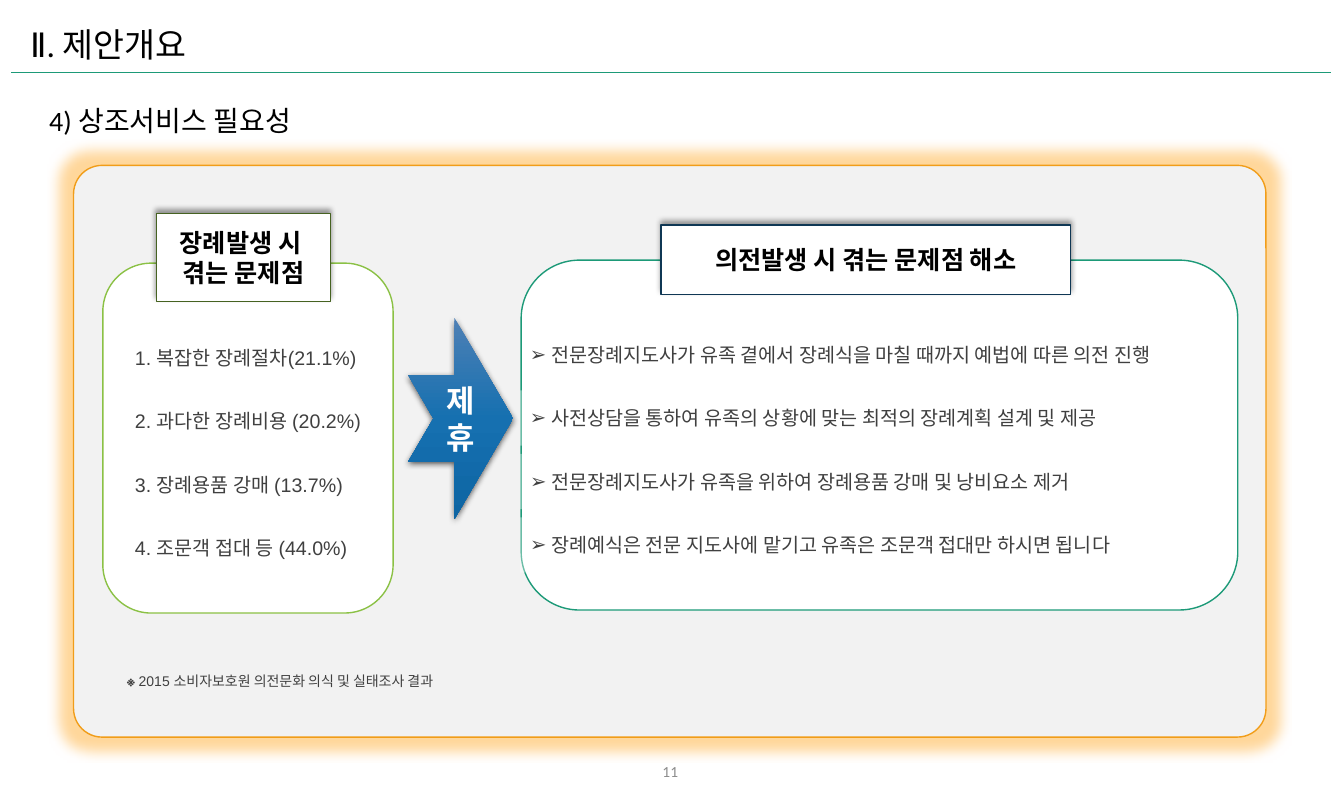
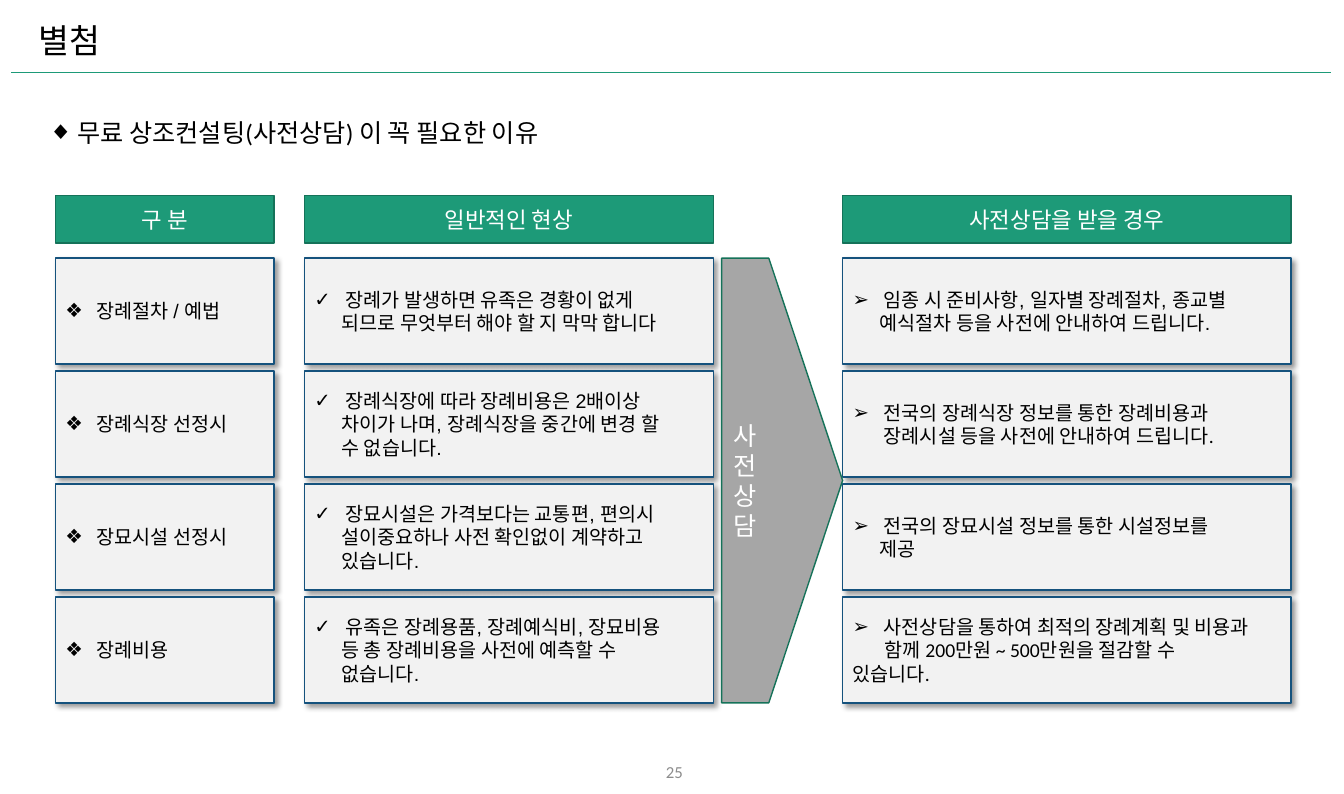
import copy

import pptx
import pptx.dml.color
import pptx.enum.shapes
import pptx.enum.text
import pptx.oxml
import pptx.oxml.ns
import pptx.util
from lxml import etree

Inches = pptx.util.Inches
Pt = pptx.util.Pt
RGBColor = pptx.dml.color.RGBColor
qn = pptx.oxml.ns.qn
SHAPE = pptx.enum.shapes.MSO_SHAPE
ALIGN = pptx.enum.text.PP_ALIGN
ANCHOR = pptx.enum.text.MSO_ANCHOR

BLACK = RGBColor(0x00, 0x00, 0x00)
WHITE = RGBColor(0xFF, 0xFF, 0xFF)
DARK_GREY = RGBColor(0x40, 0x40, 0x40)
PAGE_GREY = RGBColor(0x8C, 0x8C, 0x8C)
ARROW_GREY = RGBColor(0xA6, 0xA6, 0xA6)
PANEL_GREY = RGBColor(0xF2, 0xF2, 0xF2)
TEAL = RGBColor(0x1D, 0x9A, 0x78)
DARK_TEAL = RGBColor(0x15, 0x72, 0x59)
ORANGE = RGBColor(0xF1, 0x9D, 0x19)
GLOW_ORANGE = RGBColor(0xFF, 0x9B, 0x05)
GREEN = RGBColor(0x8B, 0xC1, 0x45)
DARK_GREEN = RGBColor(0x46, 0x62, 0x21)
NAVY = RGBColor(0x0F, 0x37, 0x54)
BLUE = RGBColor(0x15, 0x52, 0x7D)
ARROW_BLUES = [RGBColor(0x4E, 0x80, 0xB5), RGBColor(0x16, 0x70, 0xB0),
               RGBColor(0x0D, 0x65, 0xA3)]

HEADING_FONT = "Calibri"
BODY_FONT = "Arial"


def style(paragraph, size, color, font=BODY_FONT, bold=False, align=ALIGN.LEFT):
    paragraph.alignment = align
    paragraph.font.size = Pt(size)
    paragraph.font.color.rgb = color
    paragraph.font.name = font
    paragraph.font.bold = bold


def indent(paragraph, margin, first_line, bullet=None):
    properties = paragraph._p.get_or_add_pPr()
    properties.set("marL", str(Inches(margin)))
    properties.set("indent", str(Inches(first_line)))
    if bullet:
        etree.SubElement(properties, qn("a:buFont"), typeface=BODY_FONT)
        etree.SubElement(properties, qn("a:buChar"), char=bullet)


def write(shape, lines, size, color, bullet=None, hang=0.31, continuation=0.27,
          anchor=ANCHOR.MIDDLE, **looks):
    """Fill a shape with paragraphs; a bullet goes on the first only."""
    frame = shape.text_frame
    frame.word_wrap = True
    frame.vertical_anchor = anchor
    for number, line in enumerate(lines):
        paragraph = frame.add_paragraph() if number else frame.paragraphs[0]
        paragraph.text = line
        if bullet and number == 0:
            indent(paragraph, hang, -hang, bullet)
        elif bullet:
            indent(paragraph, 0, continuation)
        style(paragraph, size, color, **looks)


def add_label(slide, box, text, size, color, **looks):
    label = slide.shapes.add_textbox(*map(Inches, box))
    write(label, [text], size, color, **looks)
    return label


def add_block(slide, kind, box, fill, line=None):
    block = slide.shapes.add_shape(kind, *map(Inches, box))
    block.shadow.inherit = False
    if fill is not None:
        block.fill.solid()
        block.fill.fore_color.rgb = fill
    if line is None:
        block.line.fill.background()
    else:
        block.line.color.rgb = line
        block.line.width = Pt(1)
    return block


def add_effect(shape, tag, color, alpha, **attributes):
    effects = shape._element.spPr.find(qn("a:effectLst"))
    effect = etree.SubElement(effects, qn(tag),
                              {key: str(value) for key, value in attributes.items()})
    tint = etree.SubElement(effect, qn("a:srgbClr"), val=str(color))
    etree.SubElement(tint, qn("a:alpha"), val=str(alpha * 1000))


def add_shadow(shape, angle, alpha=40, blur=4, distance=3):
    add_effect(shape, "a:outerShdw", BLACK, alpha, blurRad=Pt(blur), dist=Pt(distance),
               dir=angle * 60000, algn="ctr", rotWithShape=0)


def new_page(deck, title, title_at, page_number, number_at, number_size):
    """Add a slide with the shared title style, header rule and page number."""
    slide = deck.slides.add_slide(deck.slide_layouts[5])
    heading = slide.shapes.title
    heading.left, heading.top = map(Inches, title_at)
    heading.width, heading.height = Inches(3.29), Inches(0.5)
    heading.text_frame.auto_size = pptx.enum.text.MSO_AUTO_SIZE.NONE
    write(heading, [title], 24, BLACK, font=HEADING_FONT, anchor=ANCHOR.TOP)

    rule = slide.shapes.add_connector(pptx.enum.shapes.MSO_CONNECTOR.STRAIGHT,
                                      Inches(0.11), Inches(0.72), Inches(13.2), Inches(0.72))
    rule.line.color.rgb = TEAL
    rule.line.width = Pt(0.5)
    etree.SubElement(rule._element.spPr, qn("a:effectLst"))

    add_label(slide, (number_at, 7.45, 3.14, 0.4), page_number, number_size, PAGE_GREY,
              font=HEADING_FONT, align=ALIGN.CENTER)
    return slide


def add_titled_card(slide, box, outline, caption_box, caption_lines, caption_outline):
    """Rounded card with a caption plate given relative to the card."""
    left, top = box[:2]
    add_block(slide, SHAPE.ROUNDED_RECTANGLE, box, WHITE, outline)
    dx, dy, width, height = caption_box
    caption = add_block(slide, SHAPE.RECTANGLE, (left + dx, top + dy, width, height),
                        WHITE, caption_outline)
    add_shadow(caption, 270)
    write(caption, caption_lines, 18, BLACK, bold=True, align=ALIGN.CENTER)


def add_plate(slide, box, text, size, color, **looks):
    """Label on a see-through white rectangle."""
    plate = add_block(slide, SHAPE.RECTANGLE, box, WHITE)
    tint = plate._element.spPr.find(qn("a:solidFill")).find(qn("a:srgbClr"))
    etree.SubElement(tint, qn("a:alpha"), val="35000")
    write(plate, [text], size, color, **looks)


def add_rows(slide, left, top, rows, place_row=add_label, **looks):
    """Stack (text, width) rows at an equal pitch."""
    for number, (text, width) in enumerate(rows):
        place_row(slide, (left, top + number * 0.63, width, 0.55), text, 14, DARK_GREY,
                  **looks)


def add_alliance_arrow(slide, box):
    arrow = add_block(slide, SHAPE.NOTCHED_RIGHT_ARROW, box, None)
    arrow.adjustments[0], arrow.adjustments[1] = 0.43, 0.56
    arrow.fill.gradient()
    arrow.fill.gradient_angle = 270
    first_stop = arrow._element.spPr.find(".//" + qn("a:gs"))
    first_stop.addnext(copy.deepcopy(first_stop))
    for number, (stop, color) in enumerate(zip(arrow.fill.gradient_stops, ARROW_BLUES)):
        stop.position = number / 2
        stop.color.rgb = color
    add_shadow(arrow, 90, alpha=63, blur=4.5, distance=1.5)
    write(arrow, ["제휴"], 22, WHITE, bold=True, align=ALIGN.CENTER)


def build_need_slide(deck):
    slide = new_page(deck, "Ⅱ. 제안개요", (0.2, 0.19), "11", 5.08, 11)
    add_label(slide, (0.39, 0.98, 3.29, 0.44), "4) 상조서비스 필요성", 20, BLACK,
              font=HEADING_FONT, anchor=ANCHOR.TOP)

    panel = add_block(slide, SHAPE.ROUNDED_RECTANGLE, (0.73, 1.64, 11.83, 5.67),
                      PANEL_GREY, ORANGE)
    panel.adjustments[0] = 0.05
    add_effect(panel, "a:glow", GLOW_ORANGE, 40, rad=Pt(18))

    add_titled_card(slide, (1.02, 2.61, 2.88, 3.47), GREEN, (0.53, -0.49, 1.73, 0.87),
                    ["장례발생 시 ", "겪는 문제점"], DARK_GREEN)
    add_rows(slide, 1.24, 3.27, [
        ("1. 복잡한 장례절차(21.1%)", 2.69),
        ("2. 과다한 장례비용 (20.2%)", 2.71),
        ("3. 장례용품 강매 (13.7%)", 2.38),
        ("4. 조문객 접대 등 (44.0%)", 2.38),
    ])

    add_alliance_arrow(slide, (4.05, 3.15, 1.04, 2))

    add_titled_card(slide, (5.17, 2.58, 7.11, 3.47), TEAL, (1.39, -0.35, 4.06, 0.69),
                    ["의전발생 시 겪는 문제점 해소"], NAVY)
    bulleted = {"bullet": "➢", "hang": 0.21}
    add_rows(slide, 5.16, 3.24, [
        ("전문장례지도사가 유족 곁에서 장례식을 마칠 때까지 예법에 따른 의전 진행", 7.14),
    ], **bulleted)
    add_rows(slide, 5.16, 3.87, [
        ("사전상담을 통하여 유족의 상황에 맞는 최적의 장례계획 설계 및 제공", 6.87),
        ("전문장례지도사가 유족을 위하여 장례용품 강매 및 낭비요소 제거", 6.55),
        ("장례예식은 전문 지도사에 맡기고 유족은 조문객 접대만 하시면 됩니다", 6.92),
    ], place_row=add_plate, **bulleted)

    survey = add_label(slide, (1.16, 6.6, 5.27, 0.31), "※ ", 10, DARK_GREY)
    survey_line = survey.text_frame.paragraphs[0]
    survey_line.runs[0].font.bold = True
    survey_line.add_run().text = "2015 소비자보호원 의전문화 의식 및 실태조사 결과"


COLUMNS = [  # left, width, heading, bullet
    (0.55, 2.17, "구 분", "❖"),
    (3.02, 4.06, "일반적인 현상", "✓"),
    (8.36, 4.45, "사전상담을 받을 경우", "➢"),
]
COMPARISON = [
    (["장례절차 / 예법"],
     ["장례가 발생하면 유족은 경황이 없게", "되므로 무엇부터 해야 할 지 막막 합니다"],
     ["임종 시 준비사항, 일자별 장례절차, 종교별", "예식절차 등을 사전에 안내하여 드립니다."]),
    (["장례식장 선정시"],
     ["장례식장에 따라 장례비용은 2배이상", "차이가 나며, 장례식장을 중간에 변경 할", "수 없습니다."],
     ["전국의 장례식장 정보를 통한 장례비용과 장례시설 등을 사전에 안내하여 드립니다."]),
    (["장묘시설 선정시"],
     ["장묘시설은 가격보다는 교통편, 편의시", "설이중요하나 사전 확인없이 계약하고", "있습니다."],
     ["전국의 장묘시설 정보를 통한 시설정보를", "제공"]),
    (["장례비용"],
     ["유족은 장례용품, 장례예식비, 장묘비용", "등 총 장례비용을 사전에 예측할 수", "없습니다."],
     ["사전상담을 통하여 최적의 장례계획 및 비용과",
      "함께 200만원 ~ 500만원을 절감할 수\v있습니다."]),
]


def add_comparison(slide, top):
    """Column headings over a grid of shadowed cells."""
    first_row, row_height, pitch = top + 0.62, 1.05, 1.12
    for column, (left, width, heading, bullet) in enumerate(COLUMNS):
        header = add_block(slide, SHAPE.RECTANGLE, (left, top, width, 0.47), TEAL, DARK_TEAL)
        write(header, [heading], 16, WHITE, font=HEADING_FONT, align=ALIGN.CENTER)
        for row, cells in enumerate(COMPARISON):
            cell = add_block(slide, SHAPE.RECTANGLE,
                             (left, first_row + row * pitch, width, row_height),
                             PANEL_GREY, BLUE)
            add_shadow(cell, 45)
            advice_in_calibri = column == 2 and row in (1, 3)
            write(cell, cells[column], 14, BLACK, bullet=bullet,
                  continuation=0.32 if advice_in_calibri else 0.27,
                  font=HEADING_FONT if advice_in_calibri else BODY_FONT)

    grid_height = pitch * (len(COMPARISON) - 1) + row_height
    arrow = add_block(slide, SHAPE.RIGHT_ARROW, (7.16, first_row, 1.2, grid_height),
                      ARROW_GREY, DARK_TEAL)
    arrow.adjustments[0], arrow.adjustments[1] = 1, 0.61
    write(arrow, ["사전상담"], 18, WHITE, align=ALIGN.CENTER)


def build_reasons_slide(deck):
    slide = new_page(deck, "별첨", (0.28, 0.15), "25", 5.12, 12)
    add_label(slide, (0.38, 1.11, 5.7, 0.4), "무료 상조컨설팅(사전상담) 이 꼭 필요한 이유", 18,
              BLACK, font=HEADING_FONT, bullet="◆", hang=0.29, anchor=ANCHOR.TOP)
    add_comparison(slide, 1.94)


def main():
    deck = pptx.Presentation()
    deck.slide_width, deck.slide_height = Inches(40 / 3), pptx.util.Cm(20)
    build_need_slide(deck)
    build_reasons_slide(deck)
    deck.save("out.pptx")


if __name__ == "__main__":
    main()
